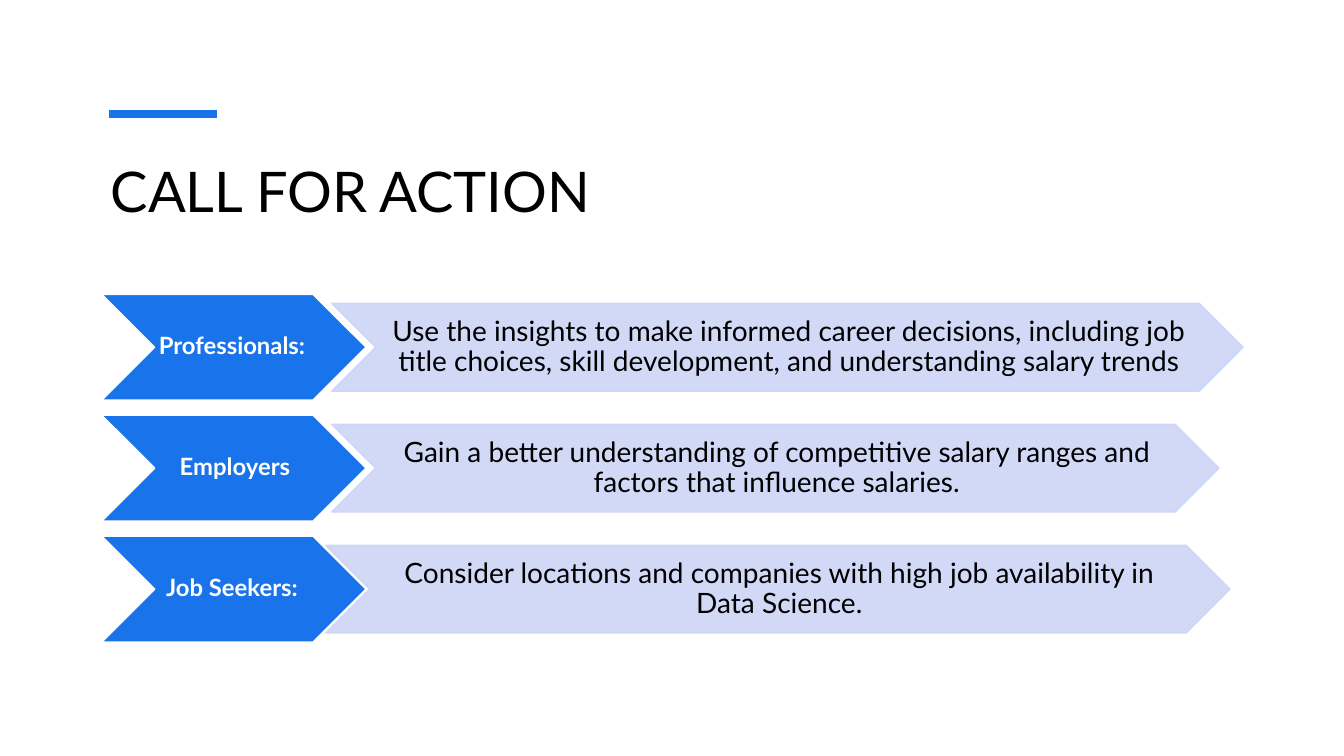
from lxml.etree import SubElement
from pptx import Presentation
from pptx.dml.color import RGBColor
from pptx.enum.shapes import MSO_CONNECTOR, MSO_SHAPE
from pptx.enum.text import MSO_ANCHOR, PP_ALIGN
from pptx.oxml.ns import qn
from pptx.util import Inches, Pt

BLUE, PALE, WHITE, BLACK = "1973EB", "CCD5F7", "FFFFFF", "000000"
FIRST_TOP, ROW_PITCH = 2.92, 1.2
LABEL_LEFT, LABEL_WIDTH, LABEL_HEIGHT = 1.01, 2.62, 1.05
ADVICE_OFFSET, ADVICE_HEIGHT = 0.09, 0.87
ACTIONS = [
    ("Professionals: ", 3.29, 9.04,
     "Use the insights to make informed career decisions, including job title "
     "choices, skill development, and understanding salary trends"),
    ("Employers", 3.29, 8.8,
     "Gain a better understanding of competitive salary ranges and factors "
     "that influence salaries."),
    ("Job Seekers: ", 3.23, 8.97,
     "Consider locations and companies with high job availability in Data Science."),
]


def rgb(color):
    """Turn a hex string into a colour."""
    return RGBColor.from_string(color)


def add_span(para, text, size, color, bold=False):
    """Add one formatted run to a paragraph."""
    span = para.add_run()
    span.text = text
    span.font.name = "Lato"
    span.font.size = Pt(size)
    span.font.bold = bold
    span.font.color.rgb = rgb(color)


def set_opacity(shape, percent):
    """Give the fill and the line of a shape the same opacity."""
    for color in shape.element.spPr.iter(qn("a:srgbClr")):
        SubElement(color, qn("a:alpha"), val=str(percent * 1000))


def add_accent(page):
    """Draw the short thick rule above the title."""
    rule = page.shapes.add_connector(
        MSO_CONNECTOR.STRAIGHT, Inches(1.08), Inches(1.13), Inches(2.15), Inches(1.13))
    rule.line.color.rgb = rgb(BLUE)
    rule.line.width = Pt(6)
    SubElement(rule.element.spPr, qn("a:effectLst"))


def add_title(page, text):
    """Add the slide title."""
    box = page.shapes.add_textbox(Inches(1), Inches(1.5), Inches(11.33), Inches(1.3))
    box.text_frame.word_wrap = True
    add_span(box.text_frame.paragraphs[0], text, 40, BLACK)


def add_chevron(page, left, top, width, height, fill, line, inset):
    """Add a chevron and return it with its centred paragraph."""
    chevron = page.shapes.add_shape(
        MSO_SHAPE.CHEVRON, Inches(left), Inches(top), Inches(width), Inches(height))
    chevron.shadow.inherit = False
    chevron.fill.solid()
    chevron.fill.fore_color.rgb = rgb(fill)
    chevron.line.color.rgb = rgb(line)
    chevron.line.width = Pt(1)
    frame = chevron.text_frame
    frame.word_wrap = True
    frame.vertical_anchor = MSO_ANCHOR.MIDDLE
    frame.margin_left, frame.margin_right = Inches(inset), 0
    frame.margin_top = frame.margin_bottom = Inches(0.01)
    para = frame.paragraphs[0]
    para.alignment = PP_ALIGN.CENTER
    para.line_spacing = 0.9
    return chevron, para


def add_action(page, top, label, left, width, advice):
    """Add one row: an audience label and the advice for it."""
    _, para = add_chevron(
        page, LABEL_LEFT, top, LABEL_WIDTH, LABEL_HEIGHT, BLUE, WHITE, 0.02)
    add_span(para, label, 17, WHITE, bold=True)
    chevron, para = add_chevron(
        page, left, top + ADVICE_OFFSET, width, ADVICE_HEIGHT, PALE, PALE, 0.03)
    set_opacity(chevron, 90)
    add_span(para, advice, 20, BLACK)


def main():
    """Build the slide and save it."""
    deck = Presentation()
    deck.slide_width, deck.slide_height = Inches(13.33), Inches(7.5)
    page = deck.slides.add_slide(deck.slide_layouts[6])
    add_accent(page)
    add_title(page, "CALL FOR ACTION")
    for row, action in enumerate(ACTIONS):
        add_action(page, FIRST_TOP + row * ROW_PITCH, *action)
    deck.save("out.pptx")


if __name__ == "__main__":
    main()
